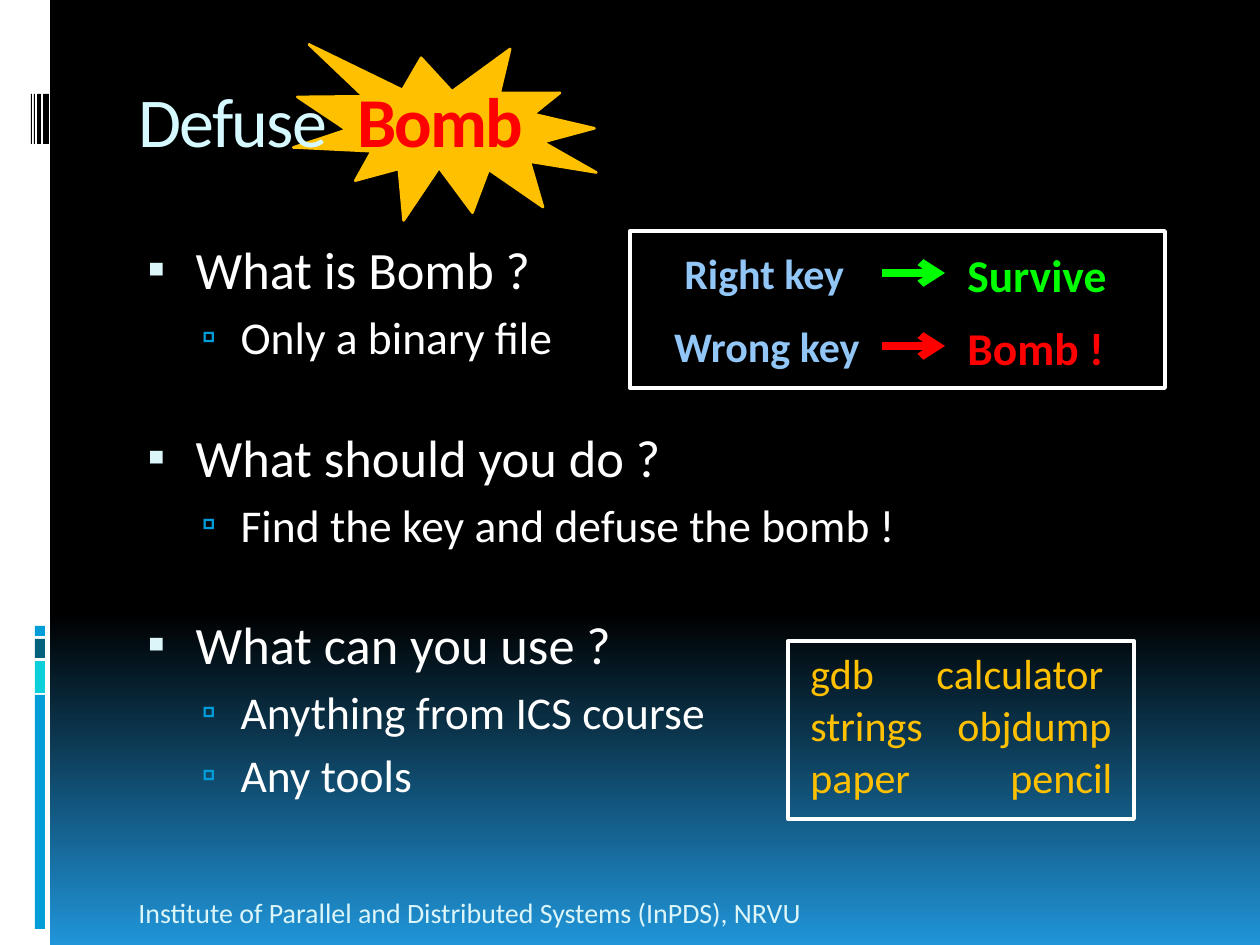
from lxml.etree import SubElement
from pptx import Presentation
from pptx.dml.color import RGBColor
from pptx.enum.shapes import MSO_CONNECTOR, MSO_SHAPE
from pptx.enum.text import MSO_ANCHOR as ANCHOR, MSO_AUTO_SIZE as AUTO_SIZE, PP_ALIGN as ALIGN
from pptx.oxml.ns import qn
from pptx.util import Pt

PX = 914400 / 126
FONT = "Calibri"
BLACK = RGBColor(0x00, 0x00, 0x00)
WHITE = RGBColor(0xFF, 0xFF, 0xFF)
SKY = RGBColor(0x20, 0x95, 0xD9)
BLUE = RGBColor(0x00, 0x9D, 0xD9)
CYAN = RGBColor(0x0B, 0xD0, 0xD9)
TEAL = RGBColor(0x04, 0x61, 0x7B)
ICE = RGBColor(0xD5, 0xF9, 0xFF)
PALE = RGBColor(0xDB, 0xF5, 0xF9)
LIGHT_BLUE = RGBColor(0x91, 0xC6, 0xF7)
GOLD = RGBColor(0xFF, 0xC0, 0x00)
RED = RGBColor(0xFF, 0x00, 0x00)
GREEN = RGBColor(0x00, 0xFF, 0x00)


def px(*lengths):
    return [round(length * PX) for length in lengths]


def style(run, size, color, bold=False):
    run.font.name, run.font.size, run.font.bold = FONT, Pt(size), bold
    run.font.color.rgb = color


def add_box(page, box, fill=None, line=None, width=2.25, kind=MSO_SHAPE.RECTANGLE):
    shape = page.shapes.add_shape(kind, *px(*box))
    shape.shadow.inherit = False
    if fill is None:
        shape.fill.background()
    else:
        shape.fill.solid()
        shape.fill.fore_color.rgb = fill
    if line is None:
        shape.line.fill.background()
    else:
        shape.line.color.rgb = line
        shape.line.width = Pt(width)
    return shape


def add_label(page, box, text, size, color, bold=False, align=ALIGN.LEFT, anchor=ANCHOR.TOP):
    frame = page.shapes.add_textbox(*px(*box)).text_frame
    frame.word_wrap = True
    frame.vertical_anchor = anchor
    frame.text = text
    para = frame.paragraphs[0]
    para.alignment = align
    style(para.runs[0], size, color, bold)


def add_arrow(page, start, end, y, color):
    arrow = page.shapes.add_connector(MSO_CONNECTOR.STRAIGHT, *px(start, y, end, y))
    arrow.line.color.rgb = color
    arrow.line.width = Pt(4.5)
    SubElement(arrow.line._get_or_add_ln(), qn("a:tailEnd"), type="arrow")
    SubElement(arrow._element.spPr, qn("a:effectLst"))


def set_bullet(para, char, color, percent, margin, hang):
    props = para._p.get_or_add_pPr()
    left, indent = px(margin, -hang)
    props.set("marL", str(left))
    props.set("indent", str(indent))
    SubElement(SubElement(props, qn("a:buClr")), qn("a:srgbClr"), val=str(color))
    SubElement(props, qn("a:buSzPct"), val=str(percent * 1000))
    SubElement(props, qn("a:buFont"), typeface=FONT)
    SubElement(props, qn("a:buChar"), char=char)


def place(holder, box):
    holder.left, holder.top, holder.width, holder.height = px(*box)
    frame = holder.text_frame
    frame.auto_size = AUTO_SIZE.NONE
    frame.word_wrap = True
    frame.vertical_anchor = ANCHOR.TOP
    return frame


def draw_background(page):
    fill = page.background.fill
    fill.gradient()
    fill.gradient_angle = 270
    for stop, position, color in zip(fill.gradient_stops, (0.65, 1), (BLACK, SKY)):
        stop.position = position
        stop.color.rgb = color


def draw_sidebar(page, box):
    left, top, width, height = box
    add_box(page, box, WHITE)
    # Coloured blocks
    for y, tall, color in ((695, 234, BLUE), (661, 32, CYAN), (639, 19, TEAL), (626, 10, BLUE)):
        add_box(page, (left + 35, top + y, 10, tall), color)
    # Barcode
    for x, wide in ((43, 6), (37, 4), (34, 1), (31, 1)):
        add_box(page, (left + x, top + 94, wide, 50), BLACK)


def draw_title(page, box):
    left, top = box[:2]
    burst = add_box(page, (left + 168, top - 29, 306, 183), GOLD, GOLD, 1.5, MSO_SHAPE.EXPLOSION1)
    burst.rotation = 6.8
    page.shapes._spTree.insert(2, burst._element)  # behind the title
    para = place(page.shapes.title, box).paragraphs[0]
    para.alignment = ALIGN.LEFT
    # The single space is widened to set "Bomb" apart
    for text, color, bold, spacing in (("Defuse", ICE, False, -100),
                                       (" ", ICE, False, 800),
                                       ("Bomb", RED, True, -100)):
        span = para.add_run()
        span.text = text
        style(span, 40, color, bold)
        span.font._element.set("spc", str(spacing))


def draw_topics(page, box, topics):
    frame = place(page.placeholders[1], box)
    lines = [(level, text) for heading, points in topics
             for level, text in [(0, heading)] + [(1, point) for point in points]]
    frame.text = "\n".join(text for _, text in lines)
    for index, (para, (level, _)) in enumerate(zip(frame.paragraphs, lines)):
        para.level = level
        para.alignment = ALIGN.LEFT
        if level:
            para.space_before = Pt(5)
            set_bullet(para, "▫", BLUE, 90, 102, 39)
        else:
            para.space_before = Pt(35 if index else 7)
            set_bullet(para, "▪", PALE, 95, 57, 48)
        style(para.runs[0], 26 if level else 30, WHITE)


def draw_outcomes(page, box, outcomes):
    left, top = box[:2]
    for row, (key, align, result, color) in enumerate(outcomes):
        y = top + 10 + 73 * row
        add_label(page, (left + 42 - 52 * row, y, 200 + 52 * row, 64), key, 24, LIGHT_BLUE, True, align)
        add_arrow(page, left + 252, left + 315, y + 32, color)
        add_label(page, (left + 325, y, 200, 68), result, 26, color, True)
    add_box(page, box, line=WHITE)


def draw_tools(page, box, tools):
    left, top = box[:2]
    add_box(page, box, line=WHITE)
    for row, (first, second, offset) in enumerate(tools):
        for text, x in ((first, 10), (second, offset)):
            add_label(page, (left + x, top + 52 * row, 210, 64), text, 24, GOLD)


def main():
    deck = Presentation()
    deck.slide_width, deck.slide_height = px(1260, 945)
    page = deck.slides.add_slide(deck.slide_layouts[1])
    draw_background(page)
    draw_sidebar(page, (0, 0, 50, 945))
    draw_title(page, (126, 71, 1071, 126))
    draw_topics(page, (126, 231, 1071, 630), [
        ("What is Bomb ?", ["Only a binary file"]),
        ("What should you do ?", ["Find the key and defuse the bomb !"]),
        ("What can you use ?", ["Anything from ICS course", "Any tools"]),
    ])
    draw_outcomes(page, (630, 231, 535, 157), [
        ("Right key", ALIGN.LEFT, "Survive", GREEN),
        ("Wrong key", ALIGN.RIGHT, "Bomb !", RED),
    ])
    draw_tools(page, (788, 641, 346, 178), [
        ("gdb", "calculator", 136),
        ("strings", "objdump", 157),
        ("paper", "pencil", 210),
    ])
    # Footer
    add_label(page, (126, 885, 766, 50), "Institute of Parallel and Distributed Systems (InPDS), NRVU",
              16, PALE, anchor=ANCHOR.BOTTOM)
    deck.save("out.pptx")


if __name__ == "__main__":
    main()
